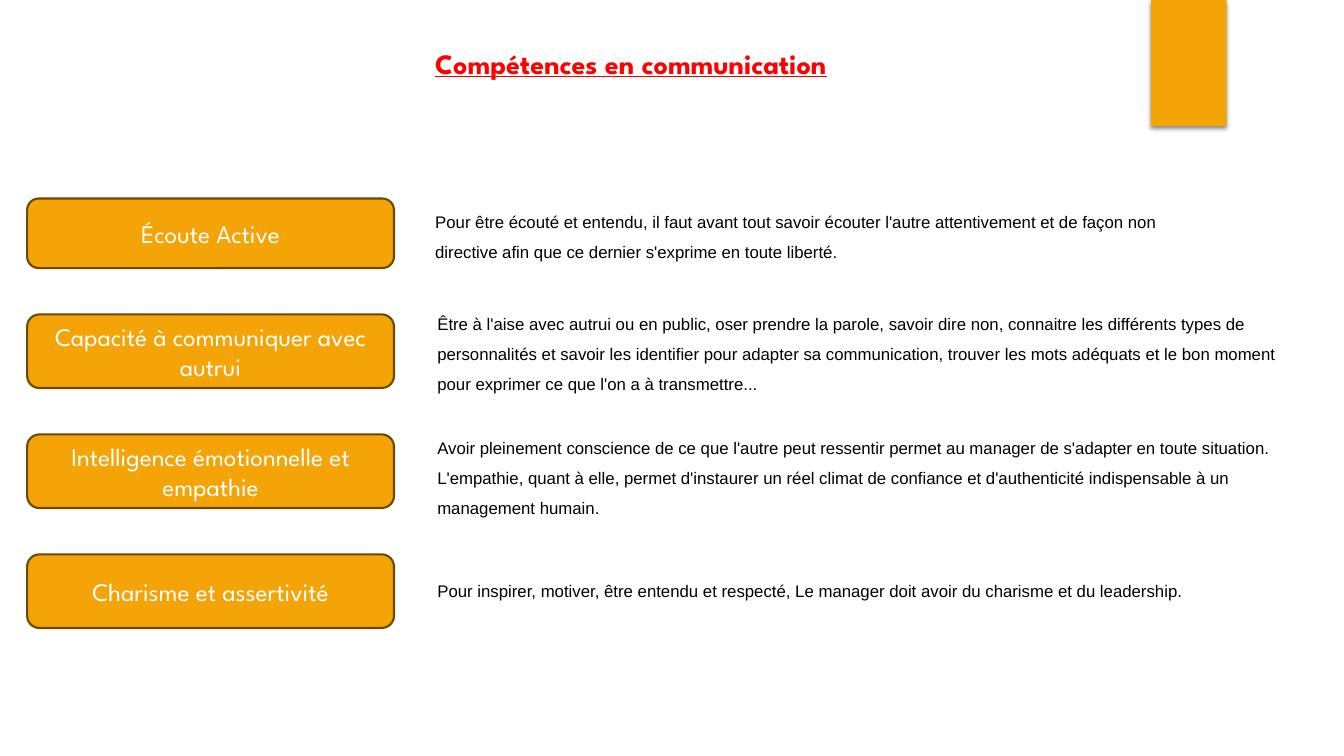
from dataclasses import dataclass

from lxml import etree
from pptx import Presentation
from pptx import util as u
from pptx.dml import color
from pptx.enum import shapes, text
from pptx.oxml import ns

Pt = u.Pt


@dataclass(frozen=True)
class Theme:
    accent: str = "F5A408"
    outline: str = "6B4804"
    title: str = "FF0000"
    body: str = "000000"
    light: str = "FFFFFF"
    heading_font: str = "League Spartan"
    body_font: str = "Arial"
    title_size: int = 20
    skill_size: int = 18
    body_size: int = 12


THEME = Theme()
TITLE = "Compétences en communication"
ROW_TOP, ROW_PITCH, ROW_HEIGHT = 138.9, 85.7, 52.6

# Skill, button inset from row top, description, its left, offset from row top,
# width, height and line spacing
SKILLS = [
    ("Écoute Active", 2.9,
     "Pour être écouté et entendu, il faut avant tout savoir écouter l'autre "
     "attentivement et de façon non directive afin que ce dernier s'exprime "
     "en toute liberté.", (303.8, 1.5, 568, 48.2), 1.5),
    ("Capacité à communiquer avec autrui", 0,
     "Être à l'aise avec autrui ou en public, oser prendre la parole, savoir "
     "dire non, connaitre les différents types de personnalités et savoir les "
     "identifier pour adapter sa communication, trouver les mots adéquats et "
     "le bon moment pour exprimer ce que l'on a à transmettre...",
     (305.3, -11.5, 635, 69.8), 1.5),
    ("Intelligence émotionnelle et empathie", 0,
     "Avoir pleinement conscience de ce que l'autre peut ressentir permet au "
     "manager de s'adapter en toute situation. L'empathie, quant à elle, "
     "permet d'instaurer un réel climat de confiance et d'authenticité "
     "indispensable à un management humain.", (305.3, -8.6, 621.4, 69.8), 1.5),
    ("Charisme et assertivité", 0,
     "Pour inspirer, motiver, être entendu et respecté, Le manager doit avoir "
     "du charisme et du leadership.", (305.3, 15.1, 625.7, 21.6), 1),
]


def rgb(value):
    return color.RGBColor.from_string(value)


def write(shape, wording, font_format, font_color, paragraph_format, anchor):
    frame = shape.text_frame
    frame.word_wrap = True
    frame.vertical_anchor = anchor
    paragraph = frame.paragraphs[0]
    for name, value in paragraph_format.items():
        setattr(paragraph, name, value)
    run = paragraph.add_run()
    run.text = wording
    for name, value in font_format.items():
        setattr(run.font, name, value)
    run.font.color.rgb = rgb(font_color)


def add_block(slide, kind, box):
    shape = slide.shapes.add_shape(kind, *map(Pt, box))
    shape.shadow.inherit = False
    shape.fill.solid()
    shape.fill.fore_color.rgb = rgb(THEME.accent)
    return shape


def add_text(slide, box, *content):
    shape = slide.shapes.add_textbox(*map(Pt, box))
    write(shape, *content, text.MSO_ANCHOR.TOP)
    shape.text_frame.auto_size = text.MSO_AUTO_SIZE.SHAPE_TO_FIT_TEXT


def add_ribbon(slide, box):
    """Hanging accent bar with a soft shadow below it."""
    ribbon = add_block(slide, shapes.MSO_SHAPE.RECTANGLE, box)
    ribbon.line.fill.background()
    effects = ribbon._element.spPr.find(ns.qn("a:effectLst"))
    shadow = etree.SubElement(
        effects, ns.qn("a:outerShdw"), blurRad=str(Pt(3)), dist=str(Pt(2)),
        dir="5400000", algn="ctr", rotWithShape="0")
    tint = etree.SubElement(shadow, ns.qn("a:srgbClr"), val="000000")
    etree.SubElement(tint, ns.qn("a:alpha"), val="45000")


def add_title(slide, box):
    add_text(slide, box, TITLE,
             {"name": THEME.heading_font, "size": Pt(THEME.title_size),
              "bold": True, "underline": True},
             THEME.title, {"alignment": text.PP_ALIGN.JUSTIFY})


def add_skill(slide, box, skill, inset, description, place, spacing):
    """One row: rounded button on the left, description on the right."""
    left, top, width, height = box
    button = add_block(slide, shapes.MSO_SHAPE.ROUNDED_RECTANGLE,
                       (left, top + inset, width, height - inset))
    button.line.color.rgb = rgb(THEME.outline)
    button.line.width = Pt(1.5)
    write(button, skill,
          {"name": THEME.heading_font, "size": Pt(THEME.skill_size)},
          THEME.light, {"alignment": text.PP_ALIGN.CENTER},
          text.MSO_ANCHOR.MIDDLE)

    text_left, offset, text_width, text_height = place
    add_text(slide, (text_left, top + offset, text_width, text_height),
             description,
             {"name": THEME.body_font, "size": Pt(THEME.body_size)},
             THEME.body, {"line_spacing": spacing})


def main():
    presentation = Presentation()
    presentation.slide_width, presentation.slide_height = Pt(960), Pt(540)
    slide = presentation.slides.add_slide(presentation.slide_layouts[6])

    add_ribbon(slide, (822.2, 0, 54, 90))
    for index, skill in enumerate(SKILLS):
        row = (19.4, ROW_TOP + index * ROW_PITCH, 262.1, ROW_HEIGHT)
        add_skill(slide, row, *skill)
    add_title(slide, (303.8, 29.5, 352.8, 31.7))

    presentation.save("out.pptx")


if __name__ == "__main__":
    main()
